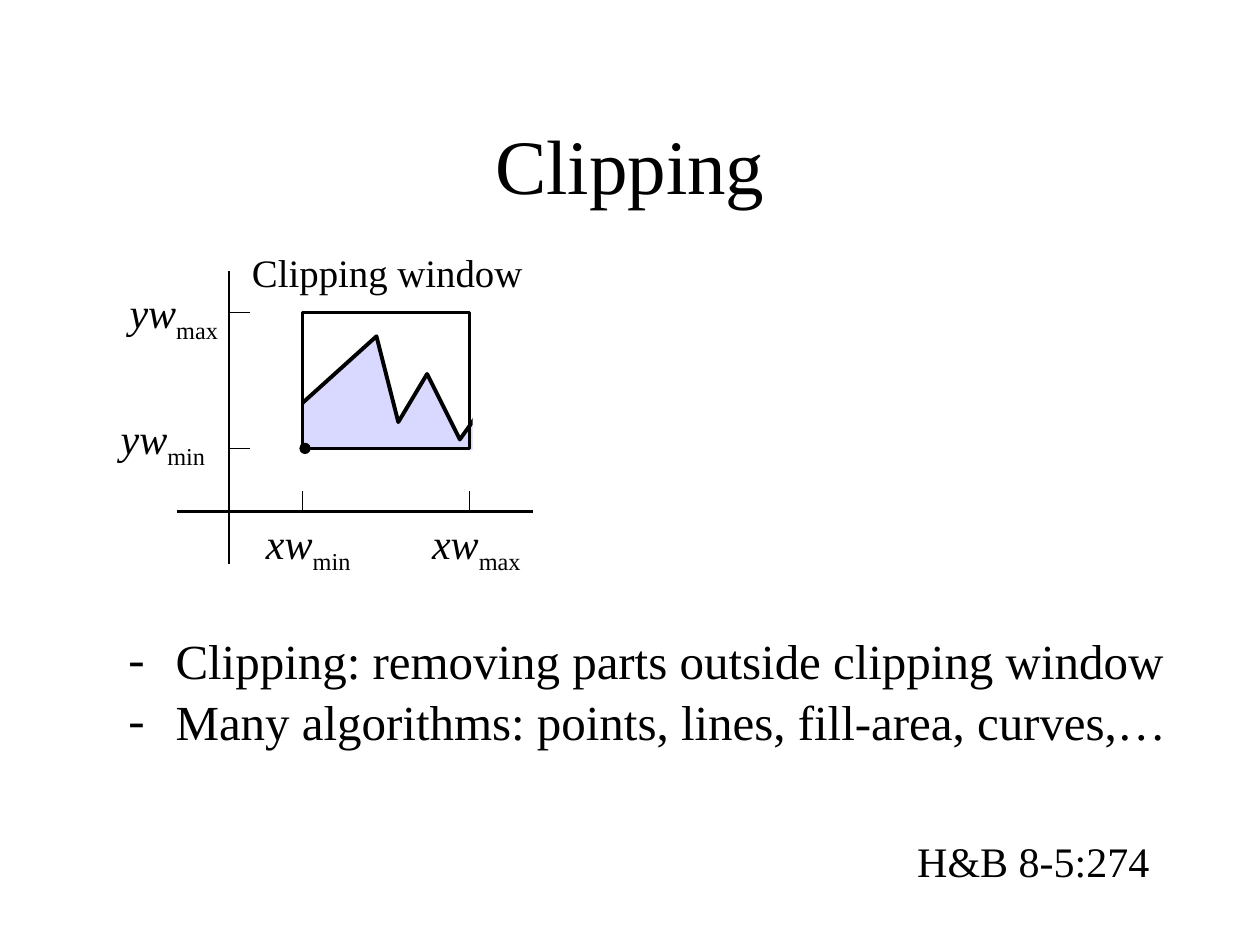
from lxml import etree
from pptx import Presentation
from pptx.dml.color import RGBColor
from pptx.enum.shapes import MSO_CONNECTOR, MSO_SHAPE
from pptx.enum.text import MSO_ANCHOR, PP_ALIGN
from pptx.oxml.ns import qn
from pptx.util import Cm, Pt

BLACK = RGBColor(0x00, 0x00, 0x00)
WHITE = RGBColor(0xFF, 0xFF, 0xFF)
LAVENDER = RGBColor(0xD9, 0xD9, 0xFF)
FONT = "Times New Roman"
STRAIGHT = MSO_CONNECTOR.STRAIGHT
RECTANGLE, OVAL = MSO_SHAPE.RECTANGLE, MSO_SHAPE.OVAL
LEFT, CENTER = PP_ALIGN.LEFT, PP_ALIGN.CENTER
TOP, MIDDLE = MSO_ANCHOR.TOP, MSO_ANCHOR.MIDDLE
TITLE_ONLY = 5


def write(frame, lines, size=24, align=LEFT, anchor=TOP, wrap=False,
          italic=False, subscript=None, bullet=None, gap=0):
    """Fill a text frame with one paragraph per line, in a common format."""
    frame.word_wrap = wrap
    frame.vertical_anchor = anchor
    for index, line in enumerate(lines):
        paragraph = frame.add_paragraph() if index else frame.paragraphs[0]
        if bullet:
            properties = paragraph._p.get_or_add_pPr()
            properties.set("marL", str(Cm(0.95)))
            properties.set("indent", str(-Cm(0.95)))
            etree.SubElement(properties, qn("a:buFont")).set("typeface", FONT)
            etree.SubElement(properties, qn("a:buChar")).set("char", bullet)
        paragraph.alignment = align
        if index and gap:
            paragraph.space_before = Pt(gap)
        for text, lowered in ((line, False), (subscript, True)):
            if not text:
                continue
            run = paragraph.add_run()
            run.text = text
            run.font.name = FONT
            run.font.size = Pt(size)
            run.font.color.rgb = BLACK
            run.font.italic = italic and not lowered
            if lowered:
                run.font._element.set("baseline", "-25000")


def add_text(slide, box, lines, **style):
    """Add a text box at a box given in centimetres."""
    label = slide.shapes.add_textbox(*map(Cm, box))
    write(label.text_frame, lines, **style)


def paint(shape, fill=None, line_width=None):
    """Set fill and outline of a shape, without shadow."""
    shape.shadow.inherit = False
    if fill is None:
        shape.fill.background()
    else:
        shape.fill.solid()
        shape.fill.fore_color.rgb = fill
    if line_width is None:
        shape.line.fill.background()
    else:
        shape.line.color.rgb = BLACK
        shape.line.width = Pt(line_width)


def add_shape(slide, kind, box, **style):
    """Add a painted preset shape at a box given in centimetres."""
    paint(slide.shapes.add_shape(kind, *map(Cm, box)), **style)


def add_line(slide, x1, y1, x2, y2, width):
    """Add a straight black line between two points in centimetres."""
    line = slide.shapes.add_connector(STRAIGHT, *map(Cm, (x1, y1, x2, y2)))
    line.line.color.rgb = BLACK
    line.line.width = Pt(width)
    etree.SubElement(line._element.spPr, qn("a:effectLst"))


def build_title(slide, box):
    """Place and format the title placeholder."""
    title = slide.shapes.title
    title.left, title.top, title.width, title.height = map(Cm, box)
    write(title.text_frame, ["Clipping"], size=44, align=CENTER,
          anchor=MIDDLE, wrap=True)


def build_curve(slide, left, top):
    """Draw the filled curve and mask what lies outside the window."""
    outline = [(1.99, 4.67), (3.33, 2.21), (4.07, 3.35), (5.59, 1.98),
               (6.03, 3.71), (6.61, 2.74), (7.27, 4.06), (7.83, 3.28),
               (8.34, 4.67)]
    points = [(Cm(left + x), Cm(top + y)) for x, y in outline]
    builder = slide.shapes.build_freeform(*points[0])
    builder.add_line_segments(points[1:], close=True)
    paint(builder.convert_to_shape(), fill=LAVENDER, line_width=2.25)

    masks = [(7.53, 1.12, 1.91, 4.01), (1.56, 1.09, 2.54, 4.01),
             (3.89, 4.27, 5.28, 0.84)]
    for x, y, width, height in masks:
        add_shape(slide, RECTANGLE, (left + x, top + y, width, height), fill=WHITE)


def build_diagram(slide, box):
    """Draw the clipping window in world coordinates, with axes and labels."""
    left, top, width, height = box
    build_curve(slide, left, top)

    axis_x, axis_y, tick = left + 2.62, top + 5.51, 0.41
    x_min, x_max = left + 4.1, left + 7.47
    y_max, y_min = top + 1.5, top + 4.24
    add_line(slide, left + 1.56, axis_y, left + width, axis_y, 1.5)
    add_line(slide, axis_x, top + height, axis_x, top + 0.66, 1.5)
    for x in (x_min, x_max):
        add_line(slide, x, axis_y - tick, x, axis_y, 0.75)
    for y in (y_min, y_max):
        add_line(slide, axis_x, y, axis_x + tick, y, 0.75)

    labels = [("xw", "min", 3.11, 5.51), ("xw", "max", 6.46, 5.51),
              ("yw", "max", 0.36, 0.86), ("yw", "min", 0.18, 3.4)]
    for name, limit, x, y in labels:
        label_width = 2.29 if limit == "max" else 2.21
        add_text(slide, (left + x, top + y, label_width, 1.42), [name],
                 subscript=limit, italic=True, align=CENTER)

    add_shape(slide, RECTANGLE, (x_min, y_max, x_max - x_min, y_min - y_max),
              line_width=1.5)
    add_text(slide, (left + 2.83, top + 0.08, 6.55, 1.27),
             ["Clipping window"], size=22.2, wrap=True)
    add_shape(slide, OVAL, (x_min - 0.05, y_min - 0.1, 0.2, 0.2),
              fill=BLACK, line_width=0.75)


def build_points(slide, box):
    """Write the bulleted statements."""
    add_text(slide, box,
             ["Clipping: removing parts outside clipping window",
              "Many algorithms: points, lines, fill-area, curves,…"],
             size=28, wrap=True, bullet="-", gap=1.5)


def build_reference(slide, box):
    """Write the book reference."""
    add_text(slide, box, ["H&B 8-5:274"])


def main():
    """Build the slide and save it."""
    presentation = Presentation()
    presentation.slide_width, presentation.slide_height = Cm(25.4), Cm(19.05)
    slide = presentation.slides.add_slide(presentation.slide_layouts[TITLE_ONLY])
    build_diagram(slide, (2, 4.8, 8.74, 6.58))
    build_title(slide, (1.9, 1.7, 21.6, 3.18))
    build_points(slide, (2.34, 12.58, 22.43, 4.15))
    build_reference(slide, (18.24, 16.71, 5.18, 1.27))
    presentation.save("out.pptx")


if __name__ == "__main__":
    main()
